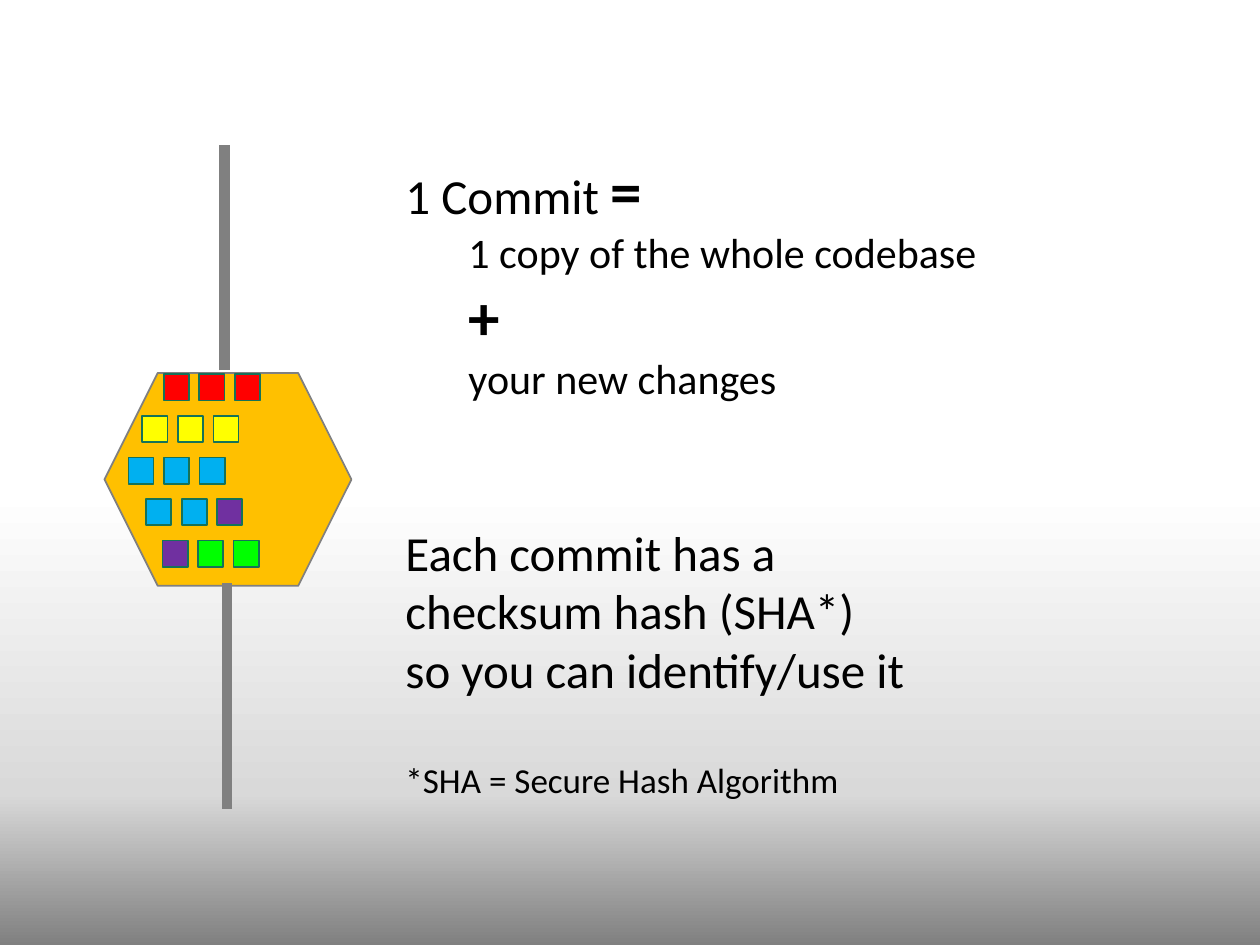
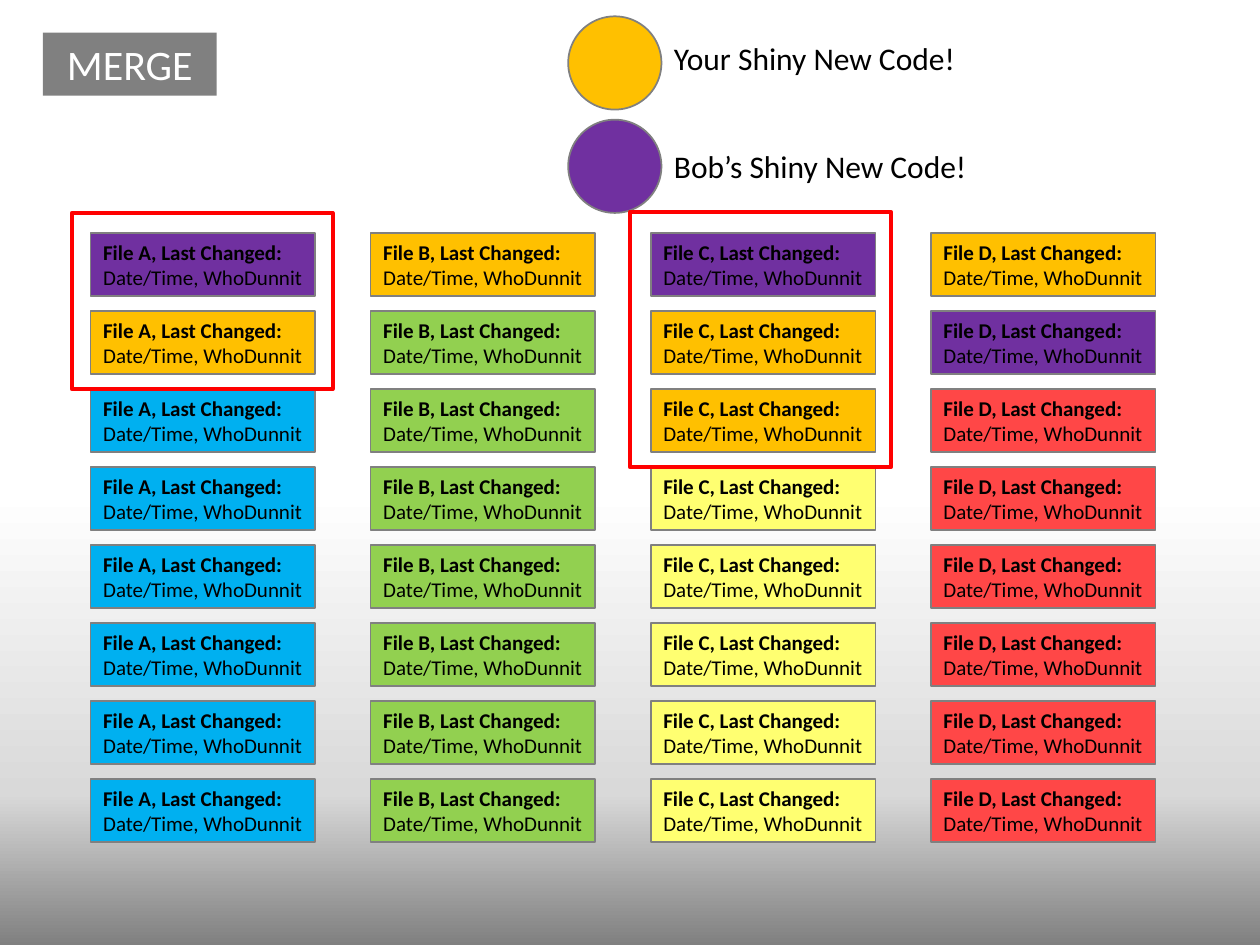
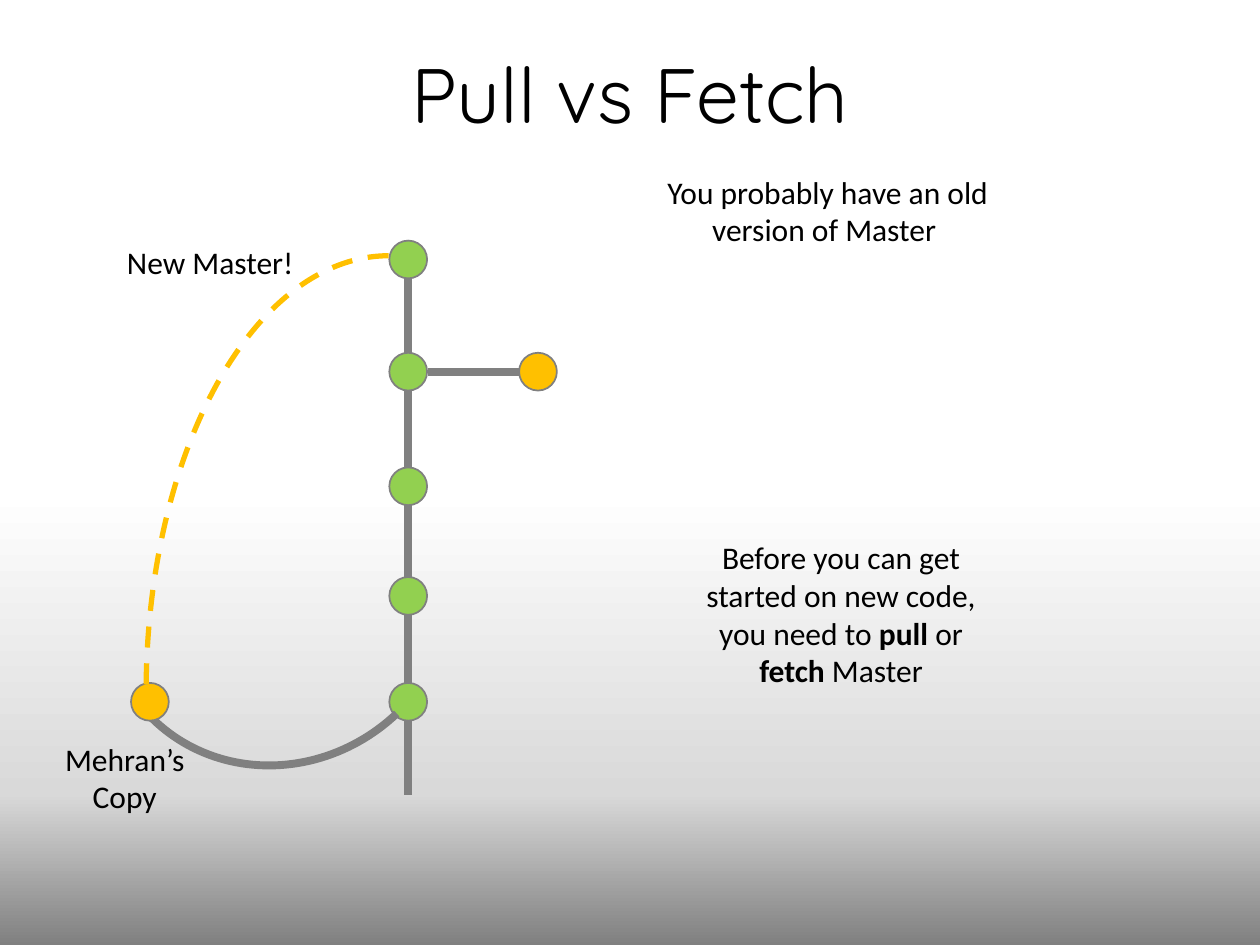
from copy import deepcopy

from pptx import Presentation
from pptx.dml.color import RGBColor
from pptx.enum.dml import MSO_LINE
from pptx.enum.shapes import MSO_CONNECTOR, MSO_SHAPE
from pptx.enum.text import MSO_ANCHOR, MSO_AUTO_SIZE, PP_ALIGN
from pptx.oxml.ns import qn
from pptx.util import Inches, Pt

RECT, OVAL = MSO_SHAPE.RECTANGLE, MSO_SHAPE.OVAL
HEXAGON, ARC = MSO_SHAPE.HEXAGON, MSO_SHAPE.ARC
STRAIGHT, DASH = MSO_CONNECTOR.STRAIGHT, MSO_LINE.DASH
LEFT, CENTER = PP_ALIGN.LEFT, PP_ALIGN.CENTER
TOP, GROW = MSO_ANCHOR.TOP, MSO_AUTO_SIZE.SHAPE_TO_FIT_TEXT

# Shared style
BODY_FONT, TITLE_FONT = "Calibri", "Quicksand"
BLACK, WHITE, GRAY = "000000", "FFFFFF", "808080"
AMBER, PURPLE, GREEN, BLUE = "FFC000", "7030A0", "92D050", "00B0F0"
RED, LIME, YELLOW, TEAL = "FF0000", "00FF00", "FFFF00", "157259"
CORAL, LEMON = "FF4747", "FFFF71"
BACKGROUND = [(0.52, WHITE), (0.84, "D9D9D9"), (1, GRAY)]
TITLE_ONLY, BLANK = 5, 6
COLS, ROWS = 100, 75


def rgb(color):
    return RGBColor.from_string(color)


def assign(target, values):
    for name, value in values.items():
        setattr(target, name, value)


class Deck:
    """Holds the style and the current slide; lengths are grid columns and rows."""

    def __init__(self):
        self.prs = Presentation()
        assign(self.prs, {"slide_width": Inches(10), "slide_height": Inches(7.5)})
        self.col = self.prs.slide_width / COLS
        self.row = self.prs.slide_height / ROWS
        self.slide = None
        self.background()

    def background(self):
        master = self.prs.slide_master
        fill = master.background.fill
        fill.gradient()
        fill.gradient_angle = 270
        stops = master.element.find(".//" + qn("a:gsLst"))
        stops.append(deepcopy(stops[-1]))
        for stop, (position, color) in zip(fill.gradient_stops, BACKGROUND):
            stop.position = position
            stop.color.rgb = rgb(color)

    def cells(self, *lengths):
        """Turn alternating column and row counts into lengths."""
        units = (self.col, self.row)
        return [round(n * units[i % 2]) for i, n in enumerate(lengths)]

    def add_slide(self, title=None):
        layout = self.prs.slide_layouts[TITLE_ONLY if title else BLANK]
        self.slide = self.prs.slides.add_slide(layout)
        if title:
            sp = self.slide.shapes.title
            box = self.cells(6.9, 4, 86.2, 14.5)
            assign(sp, dict(zip(("left", "top", "width", "height"), box)))
            sp.text_frame.vertical_anchor = TOP
            p = sp.text_frame.paragraphs[0]
            assign(p, {"alignment": CENTER, "line_spacing": 0.9})
            self.run(p, title, 44, font=TITLE_FONT)

    def run(self, p, text, size, bold=False, color=BLACK, font=BODY_FONT):
        r = p.add_run()
        r.text = text
        assign(r.font, {"size": Pt(size), "bold": bold, "name": font})
        r.font.color.rgb = rgb(color)

    def put_text(self, sp, runs, size, align=LEFT, color=BLACK):
        """Fill a shape with one paragraph of (text, bold) runs."""
        tf = sp.text_frame
        assign(tf, {"word_wrap": True, "vertical_anchor": TOP, "auto_size": GROW})
        p = tf.paragraphs[0]
        p.alignment = align
        for text, bold in runs:
            self.run(p, text, size, bold, color)

    def text(self, box, runs, size=18, align=LEFT):
        sp = self.slide.shapes.add_textbox(*self.cells(*box))
        self.put_text(sp, runs, size, align)

    def paragraphs(self, box, items):
        """Add a text box of (runs, indent in columns, space before) items."""
        sp = self.slide.shapes.add_textbox(*self.cells(*box))
        tf = sp.text_frame
        assign(tf, {"word_wrap": True, "auto_size": GROW})
        for i, (runs, indent, before) in enumerate(items):
            p = tf.add_paragraph() if i else tf.paragraphs[0]
            p.space_before = Pt(before)
            if indent:
                p.level = 1
                p._p.get_or_add_pPr().set("marL", str(round(indent * self.col)))
            for run in runs:
                self.run(p, *run)

    def shape(self, kind, box, fill=None, line=GRAY, width=1):
        sp = self.slide.shapes.add_shape(kind, *self.cells(*box))
        sp.shadow.inherit = False
        if fill:
            sp.fill.solid()
            sp.fill.fore_color.rgb = rgb(fill)
        else:
            sp.fill.background()
        if line:
            sp.line.color.rgb = rgb(line)
            sp.line.width = Pt(width)
        else:
            sp.line.fill.background()
        return sp

    def arc(self, box, flip, line, width):
        sp = self.shape(ARC, box, line=line, width=width)
        sp._element.spPr.find(qn("a:xfrm")).set(flip, "1")
        return sp

    def line(self, start, end, width):
        cx = self.slide.shapes.add_connector(STRAIGHT, *self.cells(*start, *end))
        cx.line.color.rgb = rgb(GRAY)
        cx.line.width = Pt(width)
        spPr = cx._element.spPr
        spPr.append(spPr.makeelement(qn("a:effectLst"), {}))


def commit_slide(deck):
    deck.add_slide()
    deck.shape(HEXAGON, (8.3, 29.6, 19.6, 16.9), AMBER)
    deck.paragraphs((31.2, 11.5, 65, 54.9), [
        ([("1 Commit ", 28), ("=", 36, True)], 0, 0),
        ([("1 copy of the whole codebase", 24)], 5, 0),
        ([("+", 36, True), (" ", 28)], 5, 0),
        ([("your new changes", 24)], 5, 0),
        ([("Each commit has a", 28)], 0, 68),
        ([("checksum hash (SHA*)", 28)], 0, 0),
        ([("so you can identify/use it", 28)], 0, 0),
        ([("*SHA = Secure Hash Algorithm", 20)], 0, 34),
    ])
    # Files inside the commit
    file_rows = [
        (13, [RED] * 3),
        (11.3, [YELLOW] * 3),
        (10.2, [BLUE] * 3),
        (11.6, [BLUE, BLUE, PURPLE]),
        (12.9, [PURPLE, LIME, LIME]),
    ]
    for i, (left, colors) in enumerate(file_rows):
        for j, color in enumerate(colors):
            box = (left + 2.82 * j, 29.7 + 3.3 * i, 2, 2.1)
            deck.shape(RECT, box, color, TEAL)
    # Branch above and below
    deck.line((17.8, 29.4), (17.8, 11.5), 6)
    deck.line((18, 64.2), (18, 46.3), 6)


def merge_slide(deck):
    deck.add_slide()
    # File histories, newest first
    histories = {
        "A": [PURPLE, AMBER] + [BLUE] * 6,
        "B": [AMBER] + [GREEN] * 7,
        "C": [PURPLE, AMBER, AMBER] + [LEMON] * 5,
        "D": [AMBER, PURPLE] + [CORAL] * 6,
    }
    for i, (name, colors) in enumerate(histories.items()):
        for j, color in enumerate(colors):
            box = (7.2 + 22.23 * i, 18.5 + 6.19 * j, 17.8, 5)
            sp = deck.shape(RECT, box, color, width=0.75)
            deck.put_text(sp, [(f"File {name}, Last Changed: ", True),
                               ("Date/Time, WhoDunnit", False)], 12)
    # Legend
    legend = [("Bob’s", PURPLE, 9.5, 11.2), ("Your", AMBER, 1.3, 2.6)]
    for owner, color, dot_top, text_top in legend:
        deck.shape(OVAL, (45.1, dot_top, 7.4, 7.4), color)
        deck.text((52.5, text_top, 25.5, 4), [(f"{owner} Shiny New Code!", False)])
    # Heading tag
    sp = deck.shape(RECT, (3.4, 2.6, 13.8, 5), GRAY, line=None)
    deck.put_text(sp, [("MERGE", False)], 24, CENTER, WHITE)
    # Conflicts
    for box in [(5.7, 16.9, 20.7, 14), (50, 16.8, 20.7, 20.3)]:
        deck.shape(RECT, box, line=RED, width=2.25)


def pull_slide(deck):
    deck.add_slide("Pull vs Fetch")
    dot, trunk, trunk_end = 3, 32.4, 63.1
    # Master branch
    tops = [19.1, 28, 37.1, 45.8, 54.2]
    for top, below in zip(tops, tops[1:] + [trunk_end]):
        deck.shape(OVAL, (trunk - dot / 2, top, dot, dot), GREEN)
        deck.line((trunk, top + dot), (trunk, below), 4.5)
    # Side branch
    deck.shape(OVAL, (41.2, tops[1], dot, dot), AMBER)
    deck.line((41.2, 29.5), (34, 29.5), 4.5)
    # Local copy and its path to the new master
    sp = deck.arc((8.7, 32.5, 27, 28.7), "flipV", GRAY, 4.5)
    sp.rotation = 46.5
    deck.shape(OVAL, (10.4, tops[-1], dot, dot), AMBER)
    sp = deck.arc((11.6, 20.3, 38.5, 69.3), "flipH", AMBER, 3)
    sp.line.dash_style = DASH
    sp.adjustments[0], sp.adjustments[1] = 162, 215.06
    # Labels
    deck.text((9.1, 18.8, 17.3, 4), [("New Master!", False)])
    deck.text((3.9, 58.2, 12, 7.1), [("Mehran’s Copy", False)], align=CENTER)
    deck.text((51.4, 13.2, 28.6, 7.1),
              [("You probably have an old version of Master ", False)], align=CENTER)
    deck.text((53.3, 42.2, 26.9, 13.1), [
        ("Before you can get started on new code, you need to ", False),
        ("pull", True), (" or ", False), ("fetch", True), (" Master", False),
    ], align=CENTER)


def main():
    deck = Deck()
    for build in (commit_slide, merge_slide, pull_slide):
        build(deck)
    deck.prs.save("out.pptx")


if __name__ == "__main__":
    main()
